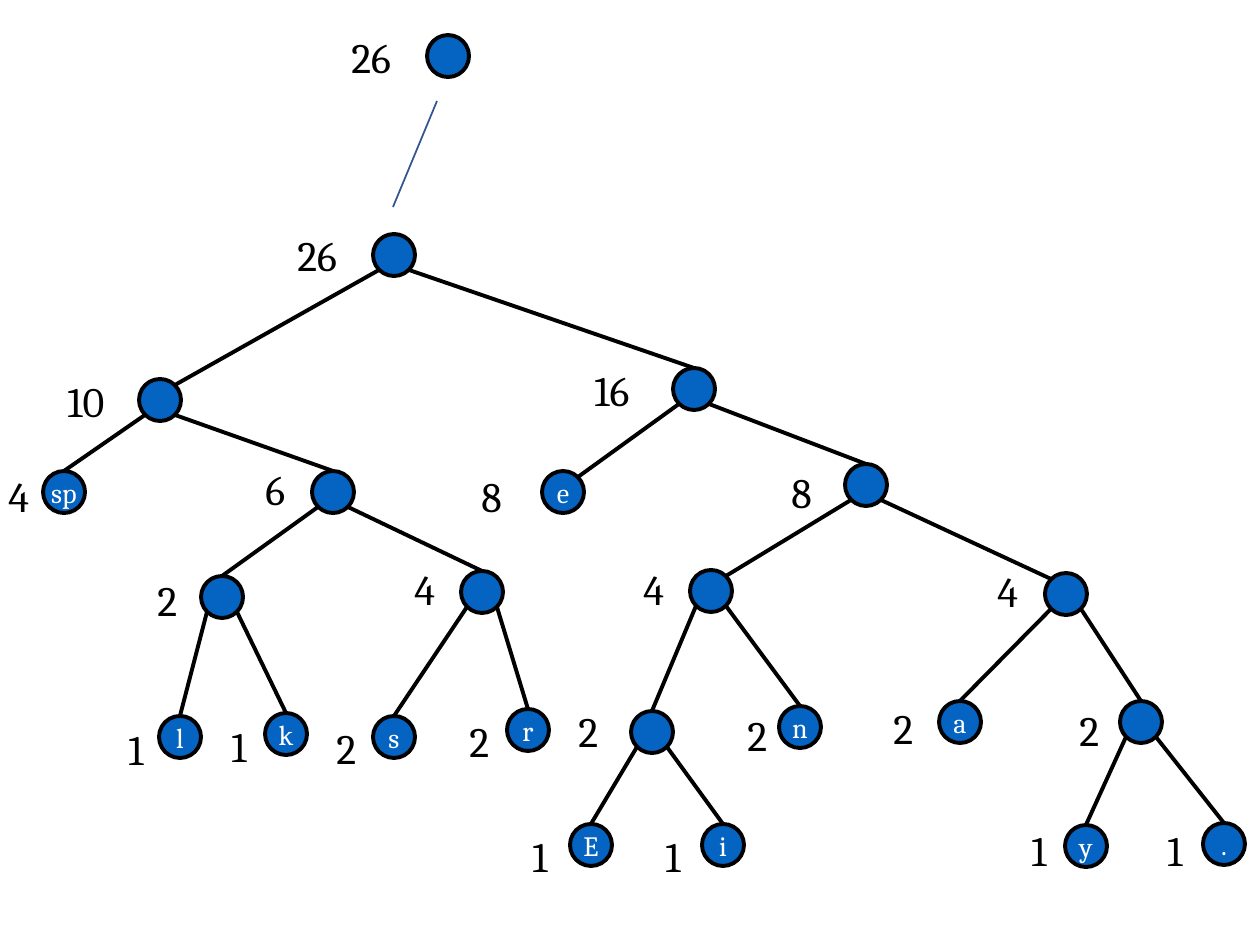
from dataclasses import dataclass

from lxml import etree
from pptx import Presentation
from pptx.dml.color import RGBColor
from pptx.enum.shapes import MSO_CONNECTOR, MSO_SHAPE
from pptx.enum.text import MSO_ANCHOR, PP_ALIGN
from pptx.oxml.ns import qn
from pptx.util import Pt

STRAIGHT = MSO_CONNECTOR.STRAIGHT
ELLIPSE = MSO_SHAPE.OVAL
MIDDLE, TOP = MSO_ANCHOR.MIDDLE, MSO_ANCHOR.TOP
CENTER, LEFT = PP_ALIGN.CENTER, PP_ALIGN.LEFT

EMU_PER_PX = 914400 // 126
DIAMETER = 42
CORNER = 6  # inset of a diagonal point of the circle from its bounding box
LABEL_HEIGHT = 63


def px(length):
    return length * EMU_PER_PX


def color(hex_string):
    return RGBColor.from_string(hex_string)


@dataclass
class Node:
    """A tree node; joint is where its parent's edge meets it: left, top or right."""
    x: int
    y: int
    weight: int
    label_x: int
    label_y: int
    letter: str = ""
    children: tuple = ()
    joint: str = "top"

    def entry(self):
        return {
            "left": (self.x + CORNER, self.y + CORNER),
            "top": (self.x + DIAMETER // 2, self.y),
            "right": (self.x + DIAMETER - CORNER, self.y + CORNER),
        }[self.joint]

    def exits(self):
        """Bottom left and bottom right points, for the two children."""
        bottom = self.y + DIAMETER - CORNER
        return (self.x + CORNER, bottom), (self.x + DIAMETER - CORNER, bottom)


def write(shape, text, size=24, ink="000000", align=LEFT, anchor=TOP, font="Cambria"):
    frame = shape.text_frame
    frame.word_wrap = False
    frame.vertical_anchor = anchor
    para = frame.paragraphs[0]
    para.alignment = align
    span = para.add_run()
    span.text = text
    span.font.name = font
    span.font.size = Pt(size)
    span.font.color.rgb = color(ink)


class TreePainter:
    fill = "0563C1"
    ink = "000000"
    stroke = 2.25

    def __init__(self, page):
        self.shapes = page.shapes

    def outline(self, shape, ink, width):
        shape.line.color.rgb = color(ink)
        shape.line.width = Pt(width)

    def edge(self, start, end):
        line = self.shapes.add_connector(STRAIGHT, *map(px, start + end))
        self.outline(line, self.ink, self.stroke)
        properties = line._element.spPr
        etree.SubElement(properties, qn("a:effectLst"))

    def circle(self, node):
        circle = self.shapes.add_shape(
            ELLIPSE, px(node.x), px(node.y), px(DIAMETER), px(DIAMETER))
        circle.shadow.inherit = False
        circle.fill.solid()
        circle.fill.fore_color.rgb = color(self.fill)
        self.outline(circle, self.ink, self.stroke)
        if node.letter:
            write(circle, node.letter, size=16, ink="FFFFFF", align=CENTER, anchor=MIDDLE)

    def label(self, node):
        text = str(node.weight)
        width = 26 + 23 * len(text)
        box = self.shapes.add_textbox(
            px(node.label_x), px(node.label_y), px(width), px(LABEL_HEIGHT))
        write(box, text, ink=self.ink)

    def tree(self, node):
        for start, child in zip(node.exits(), node.children):
            self.edge(start, child.entry())
            self.tree(child)
        self.circle(node)
        self.label(node)

    def stroke_path(self, start, end, ink, width):
        builder = self.shapes.build_freeform(*start, scale=EMU_PER_PX)
        builder.add_line_segments([end], close=False)
        path = builder.convert_to_shape()
        path.shadow.inherit = False
        path.fill.background()
        self.outline(path, ink, width)


LEFT_BRANCH = Node(139, 379, 10, 55, 369, joint="right", children=(
    Node(43, 471, 4, -4, 464, "sp"),
    Node(312, 471, 6, 253, 457, children=(
        Node(201, 576, 2, 145, 568, children=(
            Node(159, 716, 1, 116, 717, "l"),
            Node(265, 713, 1, 219, 714, "k"))),
        Node(461, 571, 4, 402, 557, children=(
            Node(373, 716, 2, 324, 716, "s"),
            Node(507, 709, 2, 457, 709, "r")))))))

RIGHT_BRANCH = Node(673, 368, 16, 582, 358, children=(
    Node(542, 471, 8, 469, 464, "e", joint="right"),
    Node(845, 464, 8, 779, 460, children=(
        Node(690, 570, 4, 631, 557, joint="right", children=(
            Node(631, 711, 2, 566, 699, children=(
                Node(570, 824, 1, 520, 824, "E"),
                Node(702, 824, 1, 653, 824, "i"))),
            Node(779, 706, 2, 735, 703, "n"))),
        Node(1045, 573, 4, 985, 559, joint="left", children=(
            Node(939, 701, 2, 881, 696, "a"),
            Node(1120, 701, 2, 1067, 698, children=(
                Node(1065, 825, 1, 1019, 818, "y"),
                Node(1203, 823, 1, 1155, 818, ".")))))))))

HUFFMAN_TREE = Node(373, 234, 26, 285, 223, children=(LEFT_BRANCH, RIGHT_BRANCH))
QUEUED_ROOT = Node(427, 35, 26, 339, 25)


def main():
    deck = Presentation()
    deck.slide_width, deck.slide_height = px(1260), px(945)
    page = deck.slides.add_slide(deck.slide_layouts[6])
    painter = TreePainter(page)
    painter.tree(HUFFMAN_TREE)
    painter.tree(QUEUED_ROOT)
    painter.stroke_path((437, 101), (393, 207), ink="325491", width=1)
    deck.save("out.pptx")


if __name__ == "__main__":
    main()
